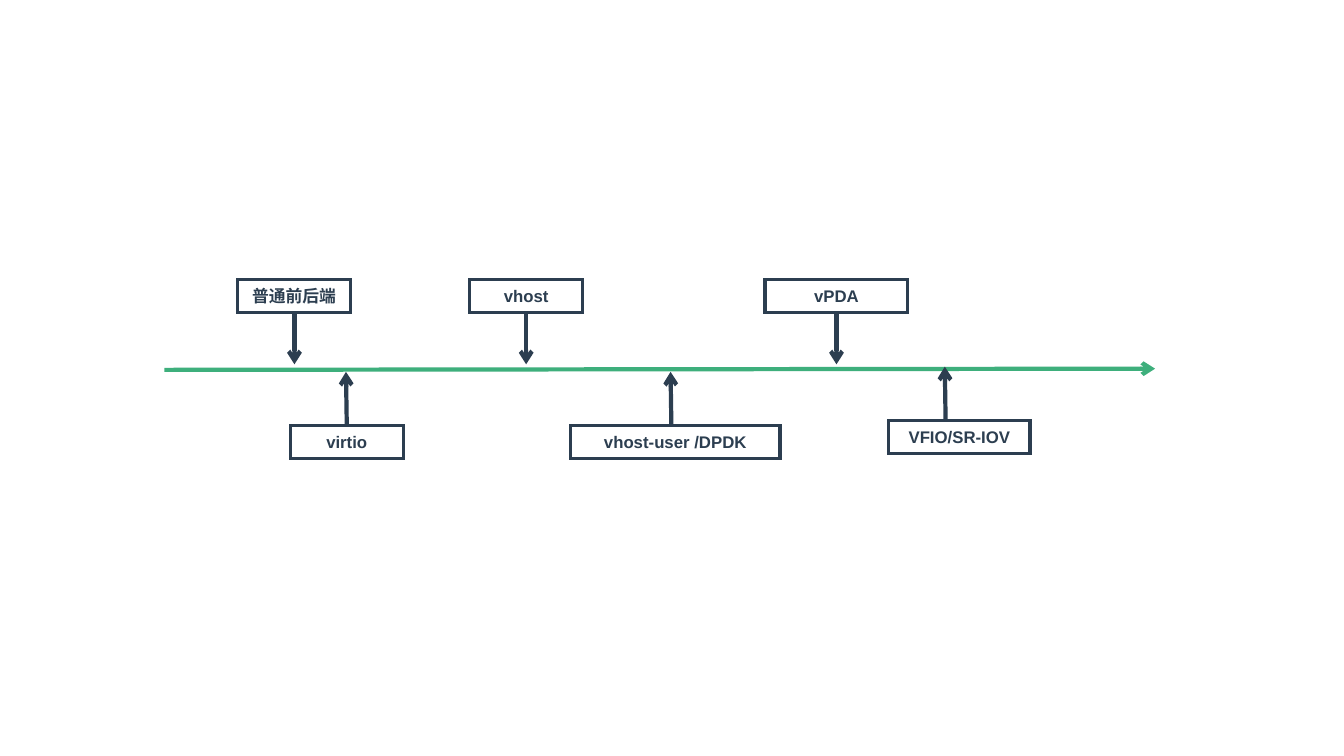
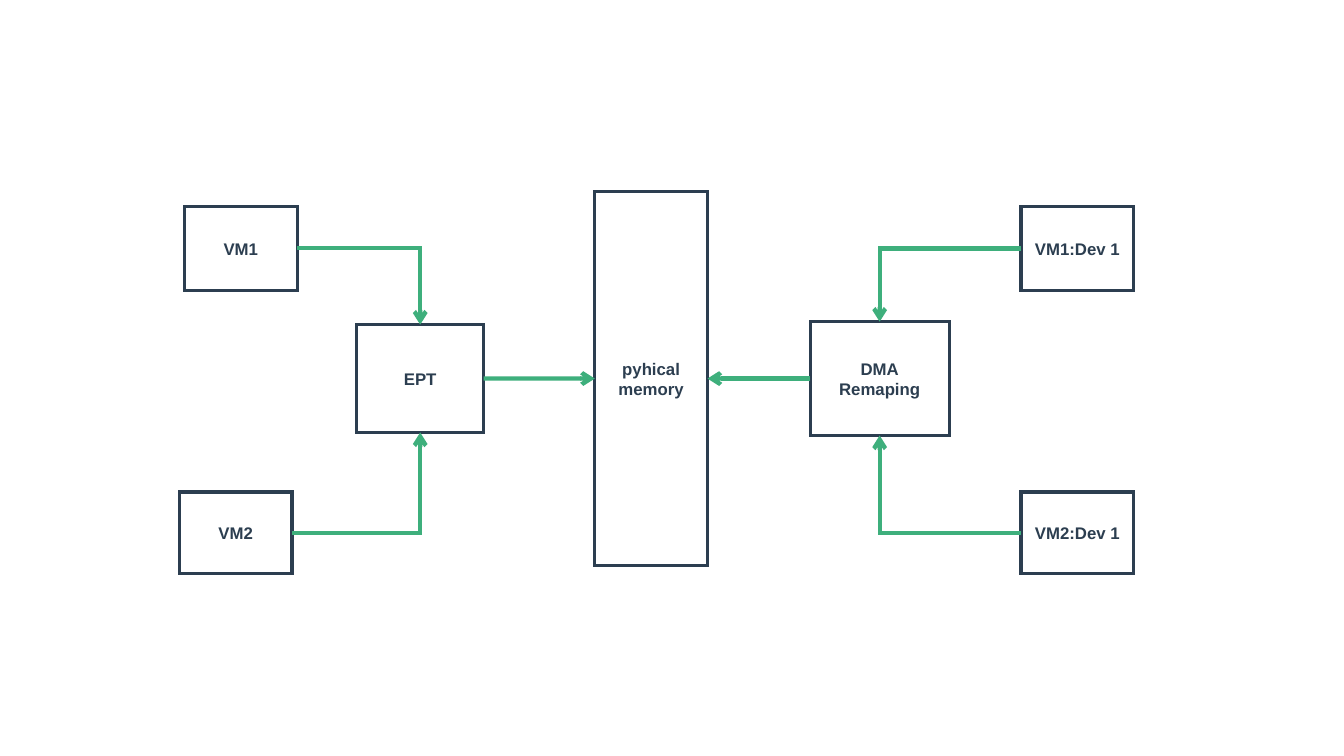
from lxml import etree
from pptx import Presentation
from pptx.dml.color import RGBColor
from pptx.enum.shapes import MSO_CONNECTOR as CONN, MSO_SHAPE as SHAPE
from pptx.enum.text import MSO_ANCHOR as ANCHOR, PP_ALIGN as ALIGN
from pptx.oxml.ns import qn
from pptx.util import Cm, Pt

COLORS = {"ink": "2C3E50", "flow": "3EAF7C"}
LABEL_FONT = {"name": "Arial", "size": Pt(12), "bold": True}
BOX_LINE, ARROW_LINE = 2.25, 3
TOP, LEFT, BOTTOM, RIGHT = range(4)


def rgb(name):
    return RGBColor.from_string(COLORS[name])


def style_line(shape, color, width):
    shape.line.color.rgb = rgb(color)
    shape.line.width = Pt(width)
    ln = shape.line._ln
    etree.SubElement(ln, qn("a:miter"), lim="800000")
    return ln


def add_box(s, text, x, y, w, h):
    sp = s.shapes.add_shape(SHAPE.RECTANGLE, Cm(x), Cm(y), Cm(w), Cm(h))
    sp.shadow.inherit = False
    sp.fill.background()
    style_line(sp, "ink", BOX_LINE)
    tf = sp.text_frame
    tf.word_wrap = True
    tf.vertical_anchor = ANCHOR.MIDDLE
    tf.text = text
    for p in tf.paragraphs:
        p.alignment = ALIGN.CENTER
        for r in p.runs:
            for key, value in LABEL_FONT.items():
                setattr(r.font, key, value)
            r.font.color.rgb = rgb("ink")
    return sp


def add_arrow(s, color, x1=0, y1=0, x2=0, y2=0, kind=CONN.STRAIGHT):
    c = s.shapes.add_connector(kind, Cm(x1), Cm(y1), Cm(x2), Cm(y2))
    ln = style_line(c, color, ARROW_LINE)
    etree.SubElement(ln, qn("a:tailEnd"), type="arrow")
    etree.SubElement(c._element.spPr, qn("a:effectLst"))
    return c


def join(s, start, start_side, end, end_side):
    bent = end_side in (TOP, BOTTOM)
    c = add_arrow(s, "flow", kind=CONN.ELBOW if bent else CONN.STRAIGHT)
    c.begin_connect(start, start_side)
    c.end_connect(end, end_side)
    if bent:
        c._element.spPr.find(qn("a:prstGeom")).set("prst", "bentConnector2")


def timeline(s, x, y, w):
    box_h = 0.84
    above, below, below_high = -2.28, 1.4, 1.27
    events = [
        ("普通前后端", 1.85, above, 2.84, 3.28),
        ("virtio", 3.18, below, 2.84, 4.6),
        ("vhost", 7.7, above, 2.84, 9.12),
        ("vhost-user /DPDK", 10.24, below, 5.28, 12.78),
        ("vPDA", 15.14, above, 3.6, 16.94),
        ("VFIO/SR-IOV", 18.26, below_high, 3.56, 19.69),
    ]
    add_arrow(s, "flow", x, y, x + w, y - 0.03)
    for text, left, top, width, arrow_x in events:
        if top < 0:
            start, length, drift = top + box_h, 1.3, 0
        else:
            start, length, drift = top, -1.35, -0.02
        ax, ay = x + arrow_x, y + start
        add_arrow(s, "ink", ax, ay, ax + drift, ay + length)
        add_box(s, text, x + left, y + top, width, box_h)


def memory_map(s, x, y, w, h):
    unit = 2.84
    upper, middle, lower = 1.43, h / 2, 8.6
    nodes = {
        "VM1": (0.13, upper, unit, 2.11),
        "VM2": (0, lower, unit, 2.06),
        "VM1:Dev 1": (w - unit, upper, unit, 2.11),
        "VM2:Dev 1": (w - unit, lower, unit, 2.06),
        "EPT": (4.47, middle, 3.2, 2.72),
        "pyhical\nmemory": (10.47, middle, unit, h),
        "DMA\nRemaping": (15.9, middle, 3.5, 2.87),
    }
    boxes = [add_box(s, text, x + left, y + cy - bh / 2, bw, bh)
             for text, (left, cy, bw, bh) in nodes.items()]
    vm1, vm2, dev1, dev2, ept, memory, dma = boxes
    sides = [(vm1, vm2, ept, RIGHT, LEFT), (dev1, dev2, dma, LEFT, RIGHT)]
    for first, second, mapper, inner, outer in sides:
        join(s, first, inner, mapper, TOP)
        join(s, second, inner, mapper, BOTTOM)
        join(s, mapper, inner, memory, outer)


def main():
    prs = Presentation()
    prs.slide_width, prs.slide_height = Cm(33.87), Cm(19.05)
    blank = prs.slide_layouts[6]
    timeline(prs.slides.add_slide(blank), 4.14, 9.32, 24.97)
    memory_map(prs.slides.add_slide(blank), 4.52, 4.83, 24.05, 9.42)
    prs.save("out.pptx")


if __name__ == "__main__":
    main()
